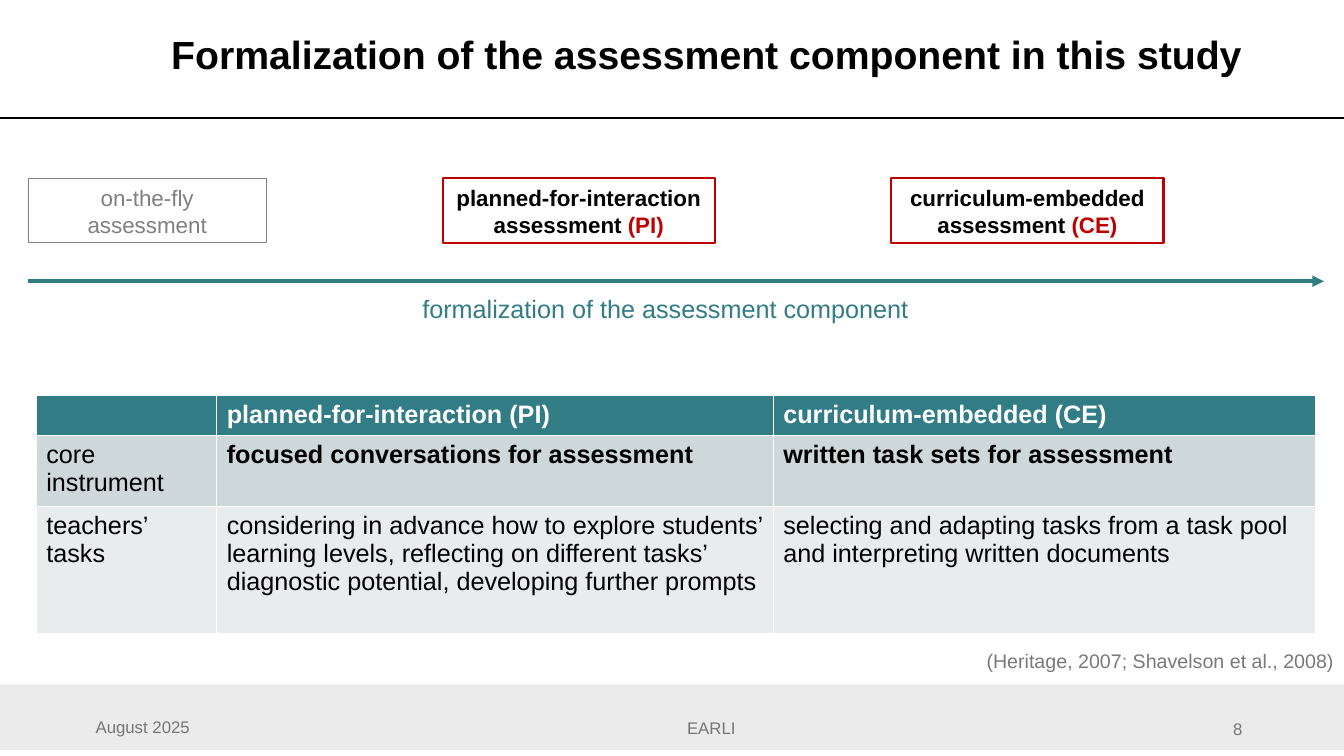
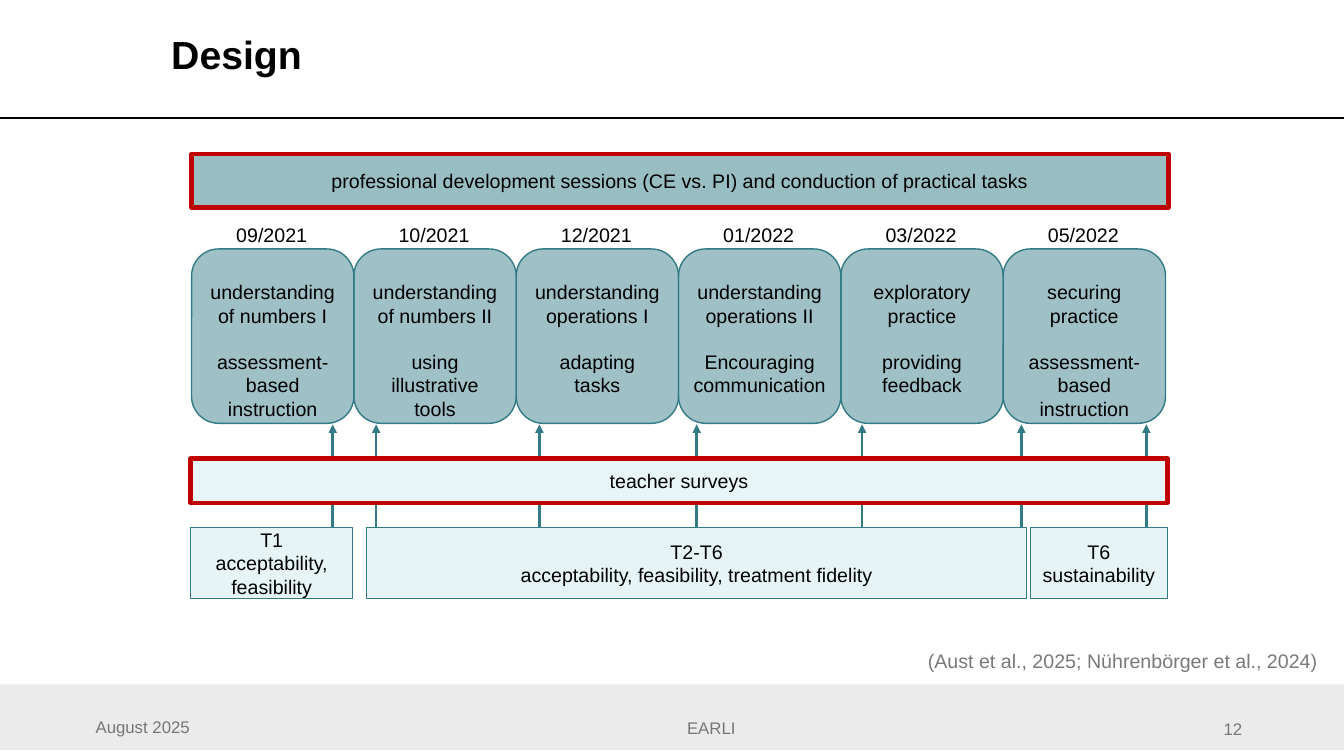
from pptx import Presentation
from pptx.dml.color import RGBColor
from pptx.enum.shapes import MSO_CONNECTOR, MSO_SHAPE
from pptx.enum.text import MSO_ANCHOR, PP_ALIGN
from pptx.oxml.ns import qn
from pptx.util import Inches, Pt
from lxml import etree

RECT, ROUND = MSO_SHAPE.RECTANGLE, MSO_SHAPE.ROUNDED_RECTANGLE
LEFT, MID, RIGHT = PP_ALIGN.LEFT, PP_ALIGN.CENTER, PP_ALIGN.RIGHT
TOP, CENTER = MSO_ANCHOR.TOP, MSO_ANCHOR.MIDDLE
STRAIGHT = MSO_CONNECTOR.STRAIGHT
FONT = "Arial"
HEX = {
    "black": "000000", "white": "FFFFFF", "red": "C00000", "teal": "327C86",
    "deep": "327A86", "pale": "D0EAED", "ice": "E8F5F6", "band": "D9D9D9",
    "foot": "767676", "cite": "797979", "gray": "808080",
    "row1": "CED7D9", "row2": "E8ECED",
}
RGB = {name: RGBColor.from_string(code) for name, code in HEX.items()}


def put(slide, box, text="", size=14, color="black", bold=False, align=MID,
        anchor=CENTER, shape=None, fill=None, alpha=100, edge=None, width=1):
    spot = [Inches(n) for n in box]
    if shape is None:
        item = slide.shapes.add_textbox(*spot)
    else:
        item = slide.shapes.add_shape(shape, *spot)
        item.shadow.inherit = False
        if fill:
            item.fill.solid()
            item.fill.fore_color.rgb = RGB[fill]
            tint = item.fill._xPr.find(qn("a:solidFill"))[0]
            etree.SubElement(tint, qn("a:alpha"), val=str(alpha * 1000))
        else:
            item.fill.background()
        if edge:
            item.line.color.rgb = RGB[edge]
            item.line.width = Pt(width)
        else:
            item.line.fill.background()
    frame = item.text_frame
    frame.word_wrap = True
    frame.vertical_anchor = anchor
    frame.text = text
    for para in frame.paragraphs:
        para.alignment = align
        for run in para.runs:
            run.font.name, run.font.size, run.font.bold = FONT, Pt(size), bold
            run.font.color.rgb = RGB[color]
    return item


def link(slide, start, end, color, width, arrow=True):
    line = slide.shapes.add_connector(
        STRAIGHT, *[Inches(n) for n in (*start, *end)])
    line.line.color.rgb = RGB[color]
    line.line.width = Pt(width)
    if arrow:
        etree.SubElement(line.line._get_or_add_ln(), qn("a:tailEnd"), type="triangle")
    etree.SubElement(line._element.spPr, qn("a:effectLst"))
    return line


deck = Presentation()
deck.slide_width, deck.slide_height = Inches(13.33), Inches(7.5)
pages = [
    ("Formalization of the assessment component in this study", "8",
     "(Heritage, 2007; Shavelson et al., 2008)", 13.33),
    ("Design", "12", "(Aust et al., 2025; Nührenbörger et al., 2024)", 13.17),
]
slides = []
for title, number, source, right in pages:
    slide = deck.slides.add_slide(deck.slide_layouts[6])
    slides.append(slide)
    put(slide, (0, 6.79, 13.33, 0.65), shape=RECT, fill="band", alpha=50)
    link(slide, (0, 1.17), (13.33, 1.17), "black", 1, arrow=False)
    head = put(slide, (1.6, 0.3, 11.22, 0.57), title, 28, bold=True,
               align=LEFT, anchor=TOP)
    head.text_frame.paragraphs[0].line_spacing = 0.9
    for box, text, align, anchor in [
        ((0.85, 6.96, 3, 0.43), "August 2025", LEFT, TOP),
        ((4.91, 6.96, 4.29, 0.43), "EARLI", MID, CENTER),
        ((9.42, 6.98, 3, 0.4), number, RIGHT, TOP),
    ]:
        foot = put(slide, box, text, 12, "foot", align=align, anchor=anchor)
        foot.text_frame.paragraphs[0].line_spacing = 1.5
    put(slide, (right - 5, 6.39, 5, 0.34), source, 14, "cite",
        align=RIGHT, anchor=TOP)

scale, design = slides

put(scale, (0.28, 1.77, 2.36, 0.64), "on-the-fly\vassessment", 16, "gray",
    shape=RECT, edge="gray", width=0.75)
for left, text, mark in [
    (4.39, "planned-for-interaction assessment ", "(PI)"),
    (8.84, "curriculum-embedded assessment ", "(CE)"),
]:
    kind = put(scale, (left, 1.77, 2.7, 0.64), text, 16, bold=True,
               shape=RECT, edge="red", width=1.5)
    run = kind.text_frame.paragraphs[0].add_run()
    run.text = mark
    run.font.name, run.font.size, run.font.bold = FONT, Pt(16), True
    run.font.color.rgb = RGB["red"]
link(scale, (0.28, 2.79), (13.13, 2.79), "teal", 2.75)
put(scale, (4.09, 2.86, 5.23, 0.4), "formalization of the assessment component",
    18, "teal", align=LEFT, anchor=TOP)

rows = [
    ("teal", 0.4, ["", "planned-for-interaction (PI)", "curriculum-embedded (CE)"]),
    ("row1", 0.7, ["core instrument", "focused conversations for assessment",
                   "written task sets for assessment"]),
    ("row2", 1.26, [
        "teachers’ tasks",
        "considering in advance how to explore students’ learning levels, "
        "reflecting on different tasks’ diagnostic potential, "
        "developing further prompts",
        "selecting and adapting tasks from a task pool and interpreting "
        "written documents"]),
]
grid = scale.shapes.add_table(
    3, 3, Inches(0.36), Inches(3.92), Inches(12.69), Inches(2.36)).table
for col, width in zip(grid.columns, (1.79, 5.52, 5.38)):
    col.width = Inches(width)
for r, (fill, height, texts) in enumerate(rows):
    grid.rows[r].height = Inches(height)
    for c, text in enumerate(texts):
        cell = grid.cell(r, c)
        cell.fill.solid()
        cell.fill.fore_color.rgb = RGB[fill]
        cell.text = text
        para = cell.text_frame.paragraphs[0]
        para.font.size = Pt(18)
        for run in para.runs:
            run.font.name, run.font.size = FONT, Pt(18)
            run.font.bold = r == 0 or (r == 1 and c > 0)
            run.font.color.rgb = RGB["white" if r == 0 else "black"]

put(design, (1.9, 1.53, 9.69, 0.53),
    "professional development sessions (CE vs. PI) and conduction of practical tasks",
    shape=RECT, fill="teal", alpha=50, edge="red", width=3)
steps = [
    ("09/2021", "understanding of numbers I\nassessment-based instruction"),
    ("10/2021", "understanding of numbers II\nusing\villustrative\vtools"),
    ("12/2021", "understanding operations I\nadapting\vtasks"),
    ("01/2022", "understanding operations II\nEncouraging communication"),
    ("03/2022", "exploratory practice\nproviding feedback"),
    ("05/2022", "securing practice\nassessment-based instruction"),
]
for i, (date, topic) in enumerate(steps):
    left = 1.9 + 1.61 * i
    put(design, (left - 0.01, 2.19, 1.61, 0.28), date)
    step = put(design, (left, 2.47, 1.61, 1.73), topic, anchor=TOP,
               shape=ROUND, fill="deep", alpha=47, edge="deep")
    frame = step.text_frame
    frame.margin_left = frame.margin_right = Inches(0.06)
    frame.margin_top = Inches(0.23)
    frame.paragraphs[1].space_before = Pt(16)

waves = [
    (1.89, 1.61, "T1\nacceptability,\nfeasibility", [3.3]),
    (3.64, 6.54, "T2-T6\nacceptability, feasibility, treatment fidelity",
     [3.73, 5.35, 6.91, 8.55, 10.13]),
    (10.22, 1.36, "T6\nsustainability", [11.37]),
]
for left, width, text, stops in waves:
    wave = put(design, (left, 5.23, width, 0.71), text, shape=RECT,
               fill="pale", alpha=50, edge="deep", width=0.75)
    for x in stops:
        arrow = link(design, (x, 5.23), (x, 4.21), "deep", 2)
        if abs(left + width / 2 - x) < 0.01:
            arrow.begin_connect(wave, 0)
put(design, (1.89, 4.55, 9.69, 0.44), "teacher surveys",
    shape=RECT, fill="ice", edge="red", width=3)

deck.save("out.pptx")
